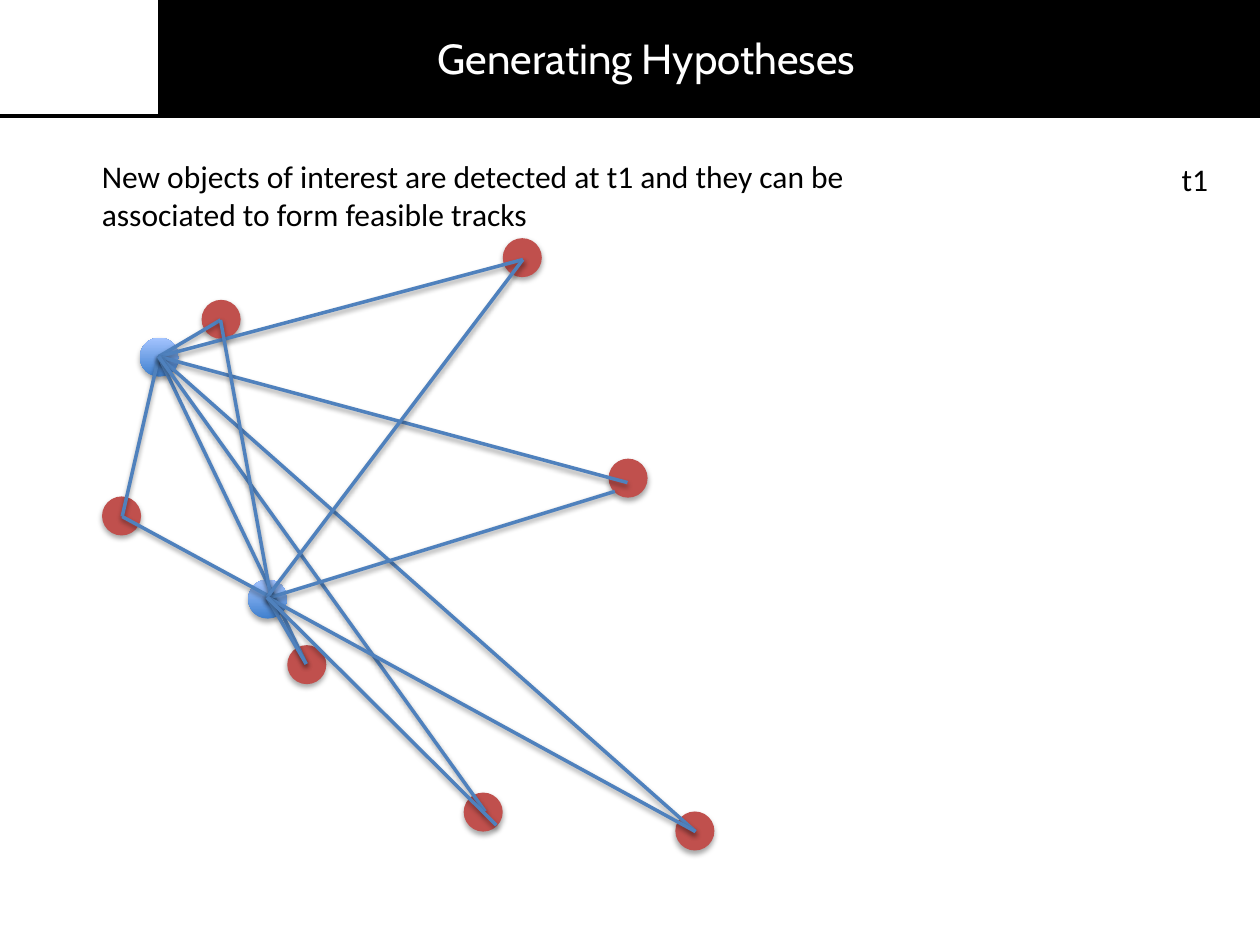
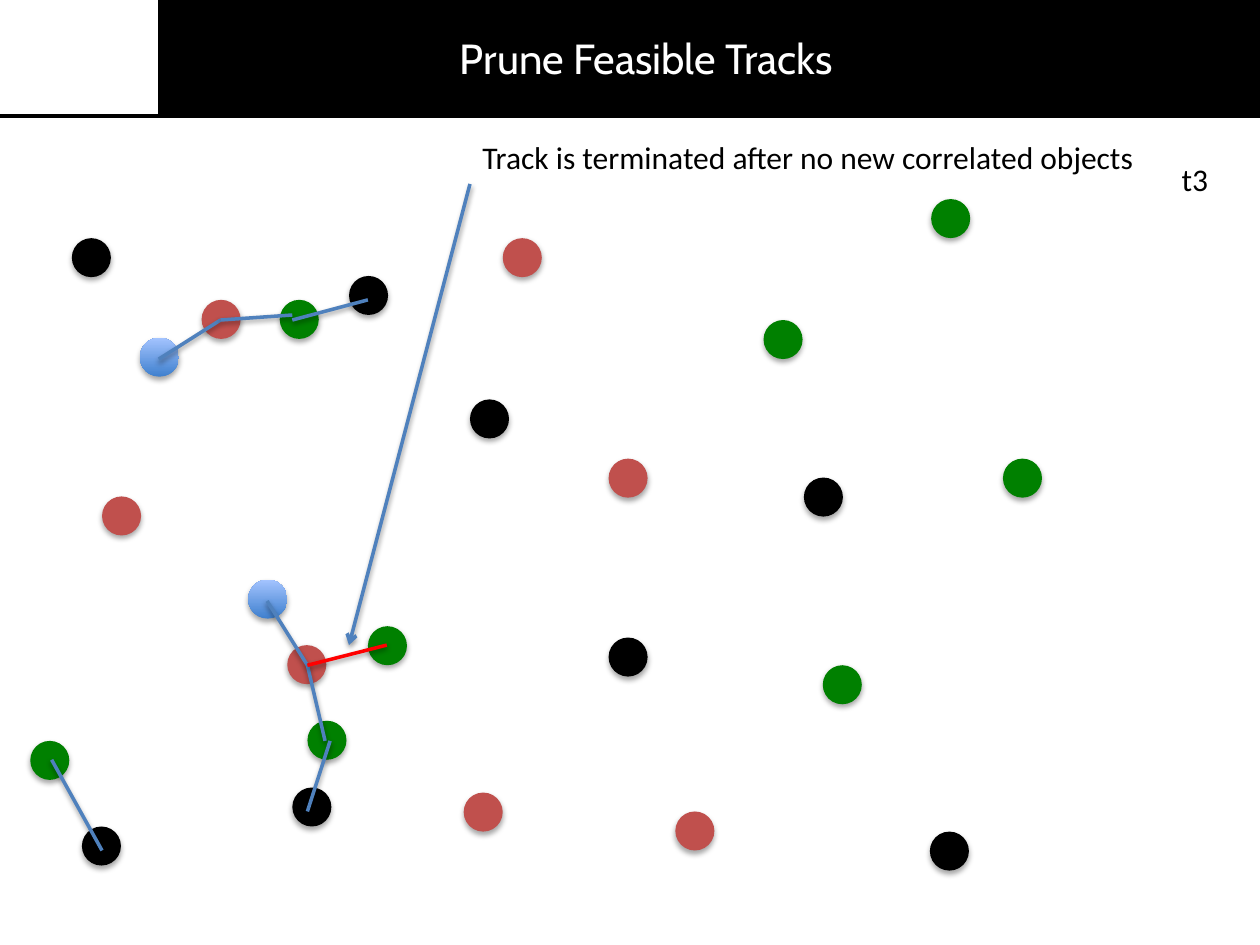
from dataclasses import dataclass

from lxml import etree
from pptx import Presentation
from pptx.dml.color import RGBColor
from pptx.enum import shapes, text
from pptx.oxml.ns import qn
from pptx.util import Inches, Pt


@dataclass(frozen=True)
class Theme:
    black: str = "000000"
    white: str = "FFFFFF"
    red: str = "C0504D"
    green: str = "008000"
    track: str = "4F81BD"
    pruned: str = "FF0000"
    origin_bottom: str = "3F80CE"
    origin_top: str = "A4C4FF"
    title_font: str = "Cabin"
    body_font: str = "Calibri"
    title_size: int = 24
    body_size: int = 18
    line_width: int = 2


THEME = Theme()
TITLE_ONLY = 5
DOT_SIZE = 0.31

# Top-left corners of the objects detected at each time step
T0_OBJECTS = [(1.11, 2.68), (1.97, 4.6)]
T1_OBJECTS = [(1.6, 2.38), (4.83, 3.64), (2.28, 5.12), (0.81, 3.94),
              (3.68, 6.29), (3.99, 1.89), (5.36, 6.44)]
T2_OBJECTS = [(2.92, 4.97), (7.39, 1.58), (7.96, 3.64), (0.24, 5.88),
              (6.06, 2.54), (6.53, 5.28), (2.22, 2.38), (2.44, 5.72)]
T3_OBJECTS = [(2.32, 6.25), (0.57, 1.89), (0.65, 6.56), (2.77, 2.19),
              (6.38, 3.79), (3.73, 3.17), (7.38, 6.6), (4.83, 5.06)]

# Feasible tracks at t1, as (start, ends)
UPPER_HYPOTHESES = ((1.26, 2.83), [
    (1.75, 2.54), (4.15, 2.06), (0.97, 4.1), (4.98, 3.83),
    (5.52, 6.6), (2.43, 5.27), (3.85, 6.44)])
LOWER_LEFT_HYPOTHESES = ((2.15, 4.74), [(0.97, 4.1), (1.75, 2.54), (4.88, 3.9)])
LOWER_RIGHT_HYPOTHESES = ((2.12, 4.74), [
    (4.15, 2.06), (5.52, 6.6), (2.43, 5.27), (3.94, 6.55)])

# Tracks that remain at t3, as (start, end)
KEPT_TRACKS = [
    ((1.26, 2.85), (1.75, 2.54)), ((1.75, 2.54), (2.32, 2.5)),
    ((2.32, 2.54), (2.92, 2.38)), ((2.12, 4.77), (2.44, 5.28)),
    ((2.44, 5.28), (2.58, 5.88)), ((2.62, 5.88), (2.44, 6.44)),
    ((0.41, 6.03), (0.81, 6.75))]


def rgb(color):
    return RGBColor.from_string(color)


def set_effects(shape, opacity=None, distance=0):
    """Replace the inherited effects by a soft downward shadow, or by none."""
    properties = shape.element.spPr
    effects = properties.find(qn("a:effectLst"))
    if effects is None:
        effects = etree.SubElement(properties, qn("a:effectLst"))
    if opacity is None:
        return
    shadow = etree.SubElement(
        effects, qn("a:outerShdw"), blurRad=str(Pt(3.1)), dist=str(Pt(distance)),
        dir="5400000", rotWithShape="0")
    color = etree.SubElement(shadow, qn("a:srgbClr"), val=THEME.black)
    etree.SubElement(color, qn("a:alpha"), val=str(opacity * 1000))


def add_line(slide, start, end, color):
    line = slide.shapes.add_connector(
        shapes.MSO_CONNECTOR.STRAIGHT, *(Inches(value) for value in (*start, *end)))
    line.line.color.rgb = rgb(color)
    line.line.width = Pt(THEME.line_width)
    return line


def add_track(slide, start, end, color=THEME.track, arrow=False):
    track = add_line(slide, start, end, color)
    if arrow:
        outline = track.element.spPr.find(qn("a:ln"))
        etree.SubElement(outline, qn("a:tailEnd"), type="arrow")
    set_effects(track, opacity=38, distance=1.6)


def add_hypotheses(slide, start, ends):
    for end in ends:
        add_track(slide, start, end)


def add_objects(slide, corners, color=None):
    """Draw one dot per detected object; without a colour, the blue gradient."""
    for left, top in corners:
        dot = slide.shapes.add_shape(
            shapes.MSO_SHAPE.OVAL, Inches(left), Inches(top),
            Inches(DOT_SIZE), Inches(DOT_SIZE))
        if color:
            dot.fill.solid()
            dot.fill.fore_color.rgb = rgb(color)
        else:
            dot.fill.gradient()
            dot.fill.gradient_angle = 90
            stops = dot.fill.gradient_stops
            stops[0].color.rgb = rgb(THEME.origin_bottom)
            stops[1].color.rgb = rgb(THEME.origin_top)
        dot.line.fill.background()
        dot.shadow.inherit = False
        set_effects(dot, opacity=35, distance=1.8)


def add_run(paragraph, words, font, size, color):
    run = paragraph.add_run()
    run.text = words
    run.font.name = font
    run.font.size = Pt(size)
    run.font.color.rgb = rgb(color)


def add_label(slide, words, left, top, width, height=0.4, wrap=False):
    label = slide.shapes.add_textbox(
        Inches(left), Inches(top), Inches(width), Inches(height))
    label.text_frame.word_wrap = wrap
    add_run(label.text_frame.paragraphs[0], words,
            THEME.body_font, THEME.body_size, THEME.black)


def add_titled_slide(presentation, title_words, time):
    """Add a slide with the header band, its title and the time step."""
    slide = presentation.slides.add_slide(presentation.slide_layouts[TITLE_ONLY])
    set_effects(add_line(slide, (0, 0.92), (10, 0.92), THEME.black))
    band = slide.shapes.add_shape(
        shapes.MSO_SHAPE.RECTANGLE, Inches(1.26), 0, Inches(8.74), Inches(0.91))
    band.fill.solid()
    band.fill.fore_color.rgb = rgb(THEME.black)
    band.line.color.rgb = rgb(THEME.black)
    band.line.width = Pt(0.75)
    band.shadow.inherit = False

    title = slide.shapes.title
    title.left, title.top = Inches(1.31), Inches(0.21)
    title.width, title.height = Inches(7.64), Inches(0.5)
    title.text_frame.vertical_anchor = text.MSO_ANCHOR.TOP
    paragraph = title.text_frame.paragraphs[0]
    paragraph.alignment = text.PP_ALIGN.CENTER
    add_run(paragraph, title_words, THEME.title_font, THEME.title_size, THEME.white)
    # The title must lie in front of the band
    title.element.getparent().append(title.element)

    add_label(slide, time, 9.28, 1.22, 0.41)
    add_objects(slide, T0_OBJECTS)
    add_objects(slide, T1_OBJECTS, THEME.red)
    return slide


def add_hypotheses_slide(presentation):
    slide = add_titled_slide(presentation, "Generating Hypotheses", "t1")
    add_label(slide, "New objects of interest are detected at t1 and they can be "
              "associated to form feasible tracks", 0.71, 1.2, 7.16, 0.71, wrap=True)
    for start, ends in (UPPER_HYPOTHESES, LOWER_LEFT_HYPOTHESES,
                        LOWER_RIGHT_HYPOTHESES):
        add_hypotheses(slide, start, ends)


def add_pruning_slide(presentation):
    slide = add_titled_slide(presentation, "Prune Feasible Tracks", "t3")
    add_objects(slide, T2_OBJECTS, THEME.green)
    add_objects(slide, T3_OBJECTS, THEME.black)
    for start, end in KEPT_TRACKS:
        add_track(slide, start, end)
    add_track(slide, (2.44, 5.28), (3.07, 5.12), THEME.pruned)
    add_track(slide, (3.73, 1.46), (2.77, 5.12), arrow=True)
    add_label(slide, "Track is terminated after no new correlated objects",
              3.73, 1.05, 5.43)


def main():
    presentation = Presentation()
    presentation.slide_width = Inches(10)
    presentation.slide_height = Inches(7.5)
    add_hypotheses_slide(presentation)
    add_pruning_slide(presentation)
    presentation.save("out.pptx")


if __name__ == "__main__":
    main()
